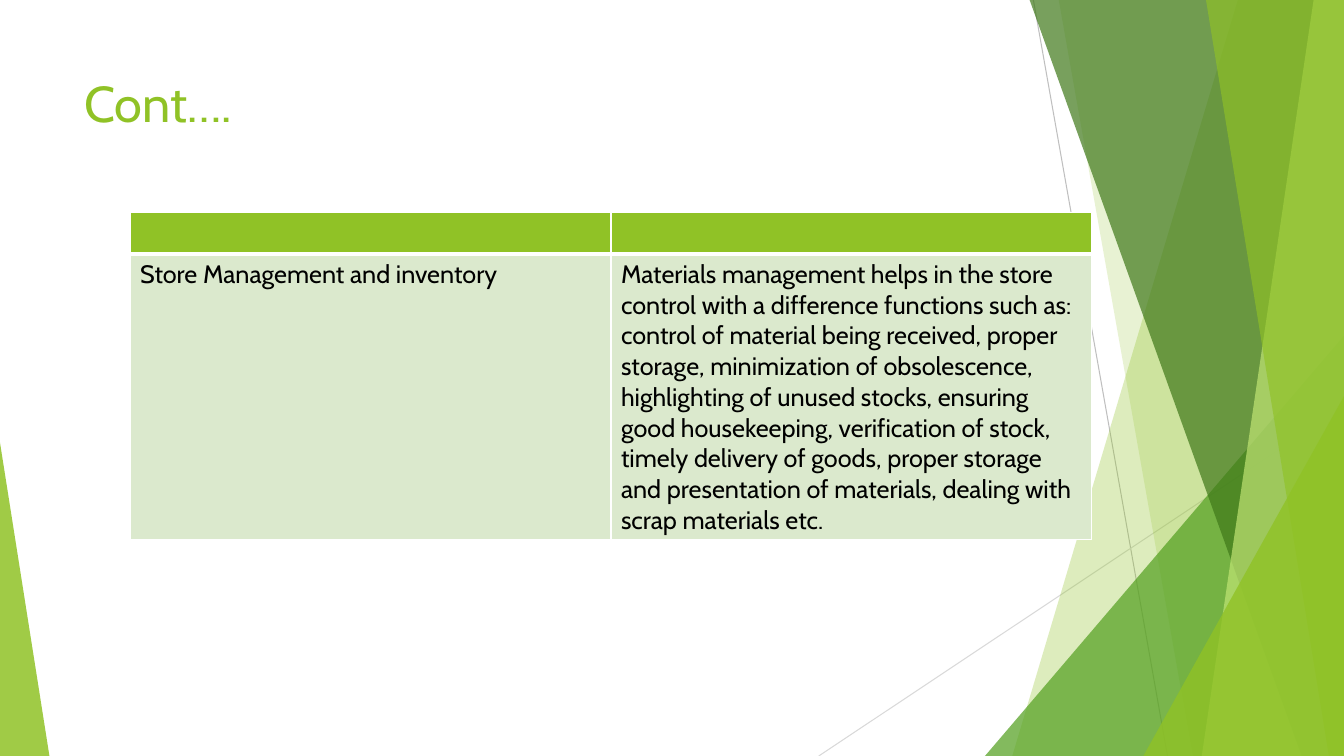
"""Build the store management slide: leafy side bands, a title and a table."""
import pptx
import pptx.dml.color
import pptx.enum.shapes
import pptx.oxml
import pptx.oxml.ns
import pptx.util

WIDTH, HEIGHT = pptx.util.Inches(13.33), pptx.util.Inches(7.5)
FONT = "Cabin"
COLORS = {
    "lime": "90C226", "leaf": "54A021", "forest": "3F7819", "pale": "C0E474",
    "mint": "DBE9CD", "grey": "BFBFBF", "silver": "D9D9D9",
    "white": "FFFFFF", "black": "000000",
}
ROWS = [
    ("", ""),
    ("Store Management and inventory",
     "Materials management helps in the store control with a difference functions such as: "
     "control of material being received, proper storage, minimization of obsolescence, "
     "highlighting of unused stocks, ensuring good housekeeping, verification of stock, "
     "timely delivery of goods, proper storage and presentation of materials, dealing with "
     "scrap materials etc."),
]


def across(percent):
    return round(WIDTH * percent / 100)


def down(percent):
    return round(HEIGHT * percent / 100)


def rgb(name):
    return pptx.dml.color.RGBColor.from_string(COLORS[name])


def element(xml):
    return pptx.oxml.parse_xml(xml.replace(">", f" {pptx.oxml.ns.nsdecls('a')}>", 1))


def paint(shape, color, opacity):
    shape.shadow.inherit = False
    shape.line.fill.background()
    shape.fill.solid()
    shape.fill.fore_color.rgb = rgb(color)
    tint = shape.fill._xPr.find(".//" + pptx.oxml.ns.qn("a:srgbClr"))
    tint.append(element(f'<a:alpha val="{opacity * 1000}"></a:alpha>'))


def add_hairline(slide, start, end, color):
    hairline = slide.shapes.add_connector(
        pptx.enum.shapes.MSO_CONNECTOR.STRAIGHT,
        across(start[0]), down(start[1]), across(end[0]), down(end[1]))
    hairline.line.color.rgb = rgb(color)
    hairline.line.width = pptx.util.Pt(0.75)
    hairline._element.spPr.append(element("<a:effectLst></a:effectLst>"))


def add_band(slide, top_x, bottom_x, color, opacity):
    top = down(-0.11)
    outline = slide.shapes.build_freeform(across(top_x), top)
    outline.add_line_segments(
        [(WIDTH, top), (WIDTH, HEIGHT), (across(bottom_x), HEIGHT)], close=True)
    paint(outline.convert_to_shape(), color, opacity)


def add_corner(slide, left, top, width, apex, color, opacity):
    corner = slide.shapes.add_shape(
        pptx.enum.shapes.MSO_SHAPE.ISOSCELES_TRIANGLE,
        across(left), down(top), across(width), down(100 - top))
    corner.adjustments[0] = apex
    paint(corner, color, opacity)


def write(frame, text, size, color):
    frame.text = text
    for run in frame.paragraphs[0].runs:
        run.font.name = FONT
        run.font.size = pptx.util.Pt(size)
        run.font.color.rgb = rgb(color)


def add_title(slide, text):
    title = slide.shapes.add_textbox(across(5.55), down(8.93), across(70.52), down(19.2))
    title.text_frame.word_wrap = True
    write(title.text_frame, text, 36, "lime")


def border(cell, **points):
    properties = cell._tc.get_or_add_tcPr()
    for place, (side, width) in enumerate(points.items()):
        properties.insert(place, element(
            f'<a:ln{side} w="{pptx.util.Pt(width)}"><a:solidFill>'
            f'<a:srgbClr val="{COLORS["white"]}"/></a:solidFill></a:ln{side}>'))


def add_functions_table(slide):
    column, row_heights = across(35.78), (down(5.47), down(37.8))
    table = slide.shapes.add_table(
        len(ROWS), 2, across(9.68), down(28.13), column * 2, sum(row_heights)).table
    for table_column in table.columns:
        table_column.width = column
    for index, texts in enumerate(ROWS):
        table.rows[index].height = row_heights[index]
        header = index == 0
        for cell, text in zip(table.rows[index].cells, texts):
            write(cell.text_frame, text, 18, "black")
            cell.fill.solid()
            cell.fill.fore_color.rgb = rgb("lime" if header else "mint")
            border(cell, L=1, R=1, T=1 if header else 3, B=3 if header else 1)


def main():
    deck = pptx.Presentation()
    deck.slide_width, deck.slide_height = WIDTH, HEIGHT
    slide = deck.slides.add_slide(deck.slide_layouts[6])
    add_hairline(slide, (76.89, 0), (86.87, 100), "grey")
    add_hairline(slide, (100, 53.73), (60.92, 100), "silver")
    add_band(slide, 92.12, 75.32, "lime", 30)
    add_band(slide, 78.77, 88.75, "lime", 20)
    add_corner(slide, 73.29, 44.4, 26.71, 1, "leaf", 72)
    add_band(slide, 76.59, 96.85, "forest", 70)
    add_band(slide, 97.75, 89.42, "pale", 70)
    add_band(slide, 89.72, 98.87, "lime", 65)
    add_corner(slide, 85.07, 52.4, 14.93, 1, "lime", 80)
    add_corner(slide, 0, 58.53, 3.68, 0, "lime", 85)
    add_title(slide, "Cont….")
    add_functions_table(slide)
    deck.save("out.pptx")


if __name__ == "__main__":
    main()
